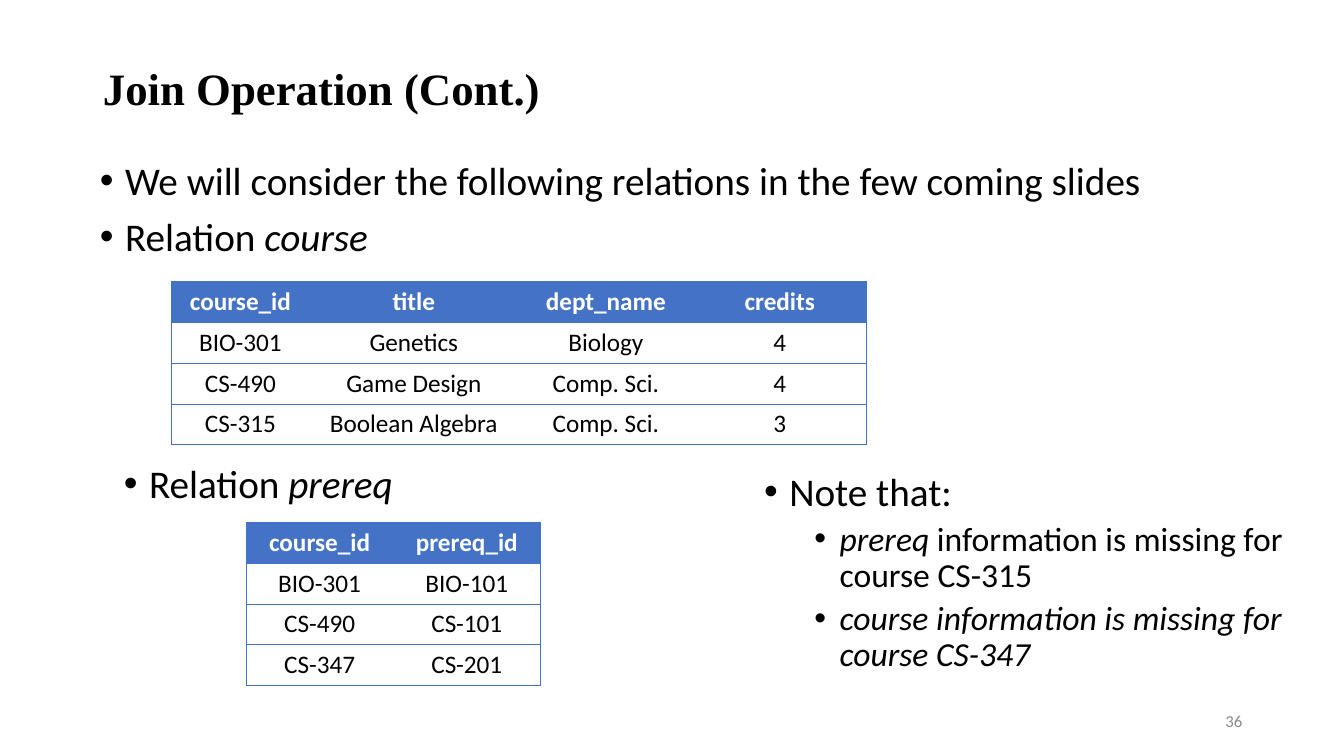
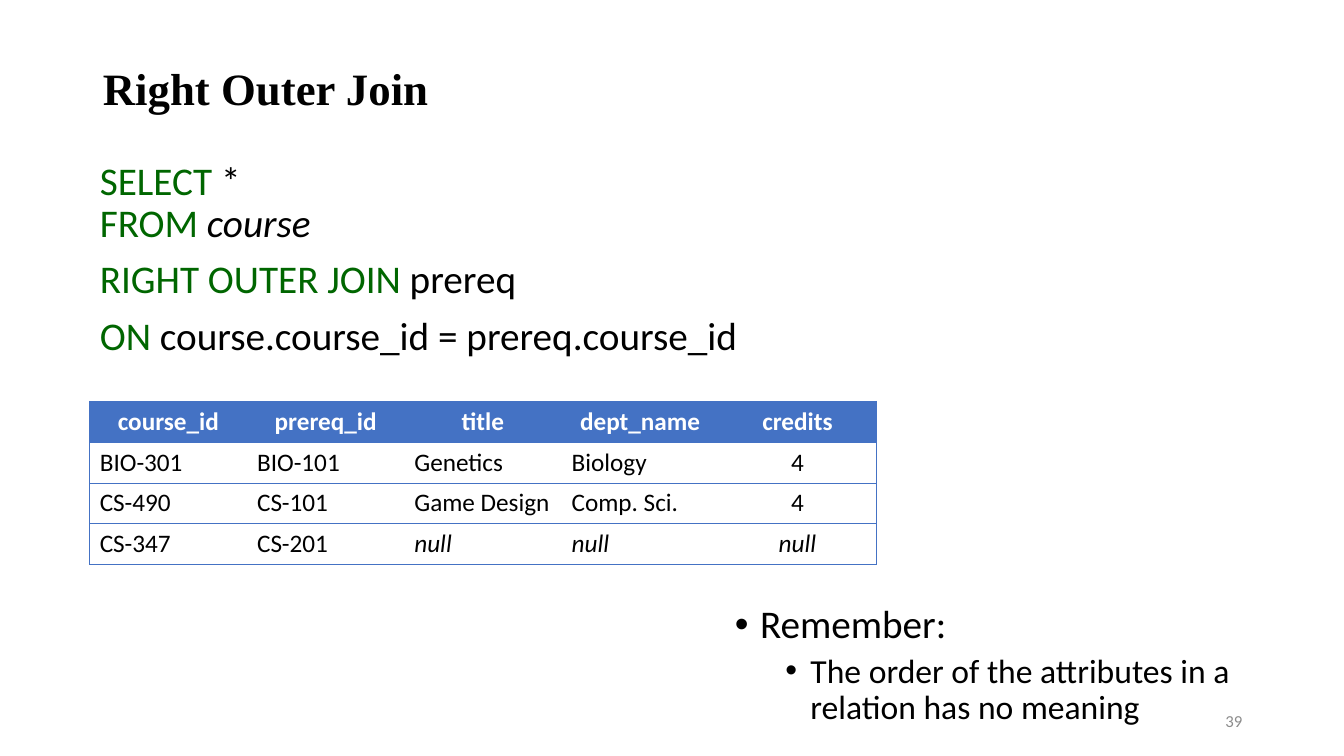
from pptx import Presentation
from pptx.dml.color import RGBColor
from pptx.enum.text import MSO_ANCHOR, MSO_AUTO_SIZE, PP_ALIGN
from pptx.oxml.ns import qn
from pptx.oxml.xmlchemy import OxmlElement
from pptx.util import Pt

PX = 9144  # EMU per px, 100 px to the inch
LEFT, CENTER, RIGHT = PP_ALIGN.LEFT, PP_ALIGN.CENTER, PP_ALIGN.RIGHT
MIDDLE = MSO_ANCHOR.MIDDLE
NO_FIT = MSO_AUTO_SIZE.NONE
BLACK, WHITE, GRAY, BLUE, GREEN = "000000", "FFFFFF", "8C8C8C", "4472C4", "006600"
PLAIN_TABLE = "{2D5ABB26-0587-4C30-8999-92F81FD0307C}"
TITLE_BOX = (92, 40, 1150, 100)
NUMBER_BOX = (942, 695, 300, 40)
ITALIC = {"italic": True}
KEYWORD = {"color": GREEN}
ITEM = {"bullet": True}
SUBITEM = {"bullet": True, "level": 1, "size": 24, "before": 5}
color_of = RGBColor.from_string


def write(frame, *runs, size=28, font="Calibri", color=BLACK, bold=False, italic=False,
          align=LEFT, spacing=0.9, before=10, level=0, bullet=False):
    """Append a paragraph; a run is a string or (string, overrides), "\\n" breaks the line."""
    first = not frame.paragraphs[0].runs
    paragraph = frame.paragraphs[0] if first else frame.add_paragraph()
    paragraph.level = level
    properties = paragraph._p.get_or_add_pPr()
    properties.set("marL", str((25 + 50 * level) * PX if bullet else 0))
    properties.set("indent", str(-25 * PX if bullet else 0))
    if bullet:
        bullet_font = OxmlElement("a:buFont")
        bullet_font.set("typeface", "Arial")
        mark = OxmlElement("a:buChar")
        mark.set("char", "•")
        properties.extend([bullet_font, mark])
    else:
        properties.append(OxmlElement("a:buNone"))
    paragraph.alignment = align
    paragraph.line_spacing = spacing
    paragraph.space_before = Pt(0 if first else before)
    for item in runs:
        if item == "\n":
            paragraph.add_line_break()
            continue
        text, changes = (item, {}) if isinstance(item, str) else item
        run = paragraph.add_run()
        run.text = text
        run.font.name = font
        run.font.size = Pt(size)
        run.font.bold = bold
        run.font.italic = changes.get("italic", italic)
        run.font.color.rgb = color_of(changes.get("color", color))


def add_relation(slide, box, widths, aligns, rows):
    """Draw a relation with a filled header, horizontal rules and an outer frame."""
    left, top, width, height = (length * PX for length in box)
    table = slide.shapes.add_table(len(rows), len(widths), left, top, width, height).table
    table._tbl.tblPr.find(qn("a:tableStyleId")).text = PLAIN_TABLE
    for column, column_width in zip(table.columns, widths):
        column.width = column_width * PX
    for r, row in enumerate(rows):
        table.rows[r].height = height // len(rows)
        for c, value in enumerate(row):
            cell = table.cell(r, c)
            sides = ["a:lnT", "a:lnB"]
            if c == 0:
                sides.insert(0, "a:lnL")
            if c == len(row) - 1:
                sides.insert(-2, "a:lnR")
            for side in sides:
                line = OxmlElement(side)
                line.set("w", str(Pt(0.5)))
                fill = OxmlElement("a:solidFill")
                shade = OxmlElement("a:srgbClr")
                shade.set("val", BLUE)
                fill.append(shade)
                line.append(fill)
                cell._tc.get_or_add_tcPr().append(line)
            header = r == 0
            if header:
                cell.fill.solid()
                cell.fill.fore_color.rgb = color_of(BLUE)
            else:
                cell.fill.background()
            write(cell.text_frame, value, size=18, spacing=1.0, bold=header,
                  color=WHITE if header else BLACK, italic=value == "null",
                  align=CENTER if header else aligns[c])


# Content: the first list of each slide goes into the body placeholder
slides = [
    {
        "title": "Join Operation (Cont.)",
        "number": "36",
        "lists": [
            ((89, 155, 1150, 286), [
                (["We will consider the following relations in the few coming slides"], ITEM),
                (["Relation ", ("course", ITALIC)], ITEM),
            ]),
            ((113, 456, 586, 286), [(["Relation ", ("prereq", ITALIC)], ITEM)]),
            ((748, 464, 586, 286), [
                (["Note that:"], ITEM),
                ([("prereq ", ITALIC), "information is missing for course CS-315"], SUBITEM),
                ([("course information is missing for course CS-347", ITALIC)], SUBITEM),
            ]),
        ],
        "relations": [
            ((170, 279, 689, 162), [137, 207, 174, 171], [CENTER] * 4, [
                ["course_id", "title", "dept_name", "credits"],
                ["BIO-301", "Genetics", "Biology", "4"],
                ["CS-490", "Game Design", "Comp. Sci.", "4"],
                ["CS-315", "Boolean Algebra", "Comp. Sci.", "3"],
            ]),
            ((244, 518, 292, 162), [146] * 2, [CENTER] * 2, [
                ["course_id", "prereq_id"],
                ["BIO-301", "BIO-101"],
                ["CS-490", "CS-101"],
                ["CS-347", "CS-201"],
            ]),
        ],
    },
    {
        "title": "Right Outer Join",
        "number": "39",
        "lists": [
            ((89, 155, 1150, 544), [
                ([("SELECT ", KEYWORD), "*", "\n", ("FROM ", KEYWORD), ("course", ITALIC)], {}),
                ([("RIGHT OUTER JOIN ", KEYWORD), "prereq"], {}),
                ([("ON ", KEYWORD), "course.course_id = prereq.course_id"], {}),
            ]),
            ((719, 595, 586, 155), [
                (["Remember:"], ITEM),
                (["The order of the attributes in a relation has no meaning"], SUBITEM),
            ]),
        ],
        "relations": [
            ((89, 398, 780, 162), [156] * 5, [LEFT] * 4 + [CENTER], [
                ["course_id", "prereq_id", "title", "dept_name", "credits"],
                ["BIO-301", "BIO-101", "Genetics", "Biology", "4"],
                ["CS-490", "CS-101", "Game Design", "Comp. Sci.", "4"],
                ["CS-347", "CS-201", "null", "null", "null"],
            ]),
        ],
    },
]

deck = Presentation()
deck.slide_width, deck.slide_height = 1333 * PX, 750 * PX

for content in slides:
    slide = deck.slides.add_slide(deck.slide_layouts[1])

    # Title
    title = slide.shapes.title
    title.left, title.top, title.width, title.height = (length * PX for length in TITLE_BOX)
    title.text_frame.auto_size = NO_FIT
    title.text_frame.vertical_anchor = MIDDLE
    write(title.text_frame, content["title"], size=32, font="Times New Roman", bold=True)

    # Lists
    for index, (box, paragraphs) in enumerate(content["lists"]):
        left, top, width, height = (length * PX for length in box)
        if index == 0:
            area = slide.placeholders[1]
            area.left, area.top, area.width, area.height = left, top, width, height
        else:
            area = slide.shapes.add_textbox(left, top, width, height)
        area.text_frame.word_wrap = True
        area.text_frame.auto_size = NO_FIT
        for runs, style in paragraphs:
            write(area.text_frame, *runs, **style)

    # Relations
    for box, widths, aligns, rows in content["relations"]:
        add_relation(slide, box, widths, aligns, rows)

    # Slide number
    number = slide.shapes.add_textbox(*(length * PX for length in NUMBER_BOX)).text_frame
    number.word_wrap = True
    number.vertical_anchor = MIDDLE
    write(number, content["number"], size=12, color=GRAY, align=RIGHT, spacing=1.0)

deck.save("out.pptx")
